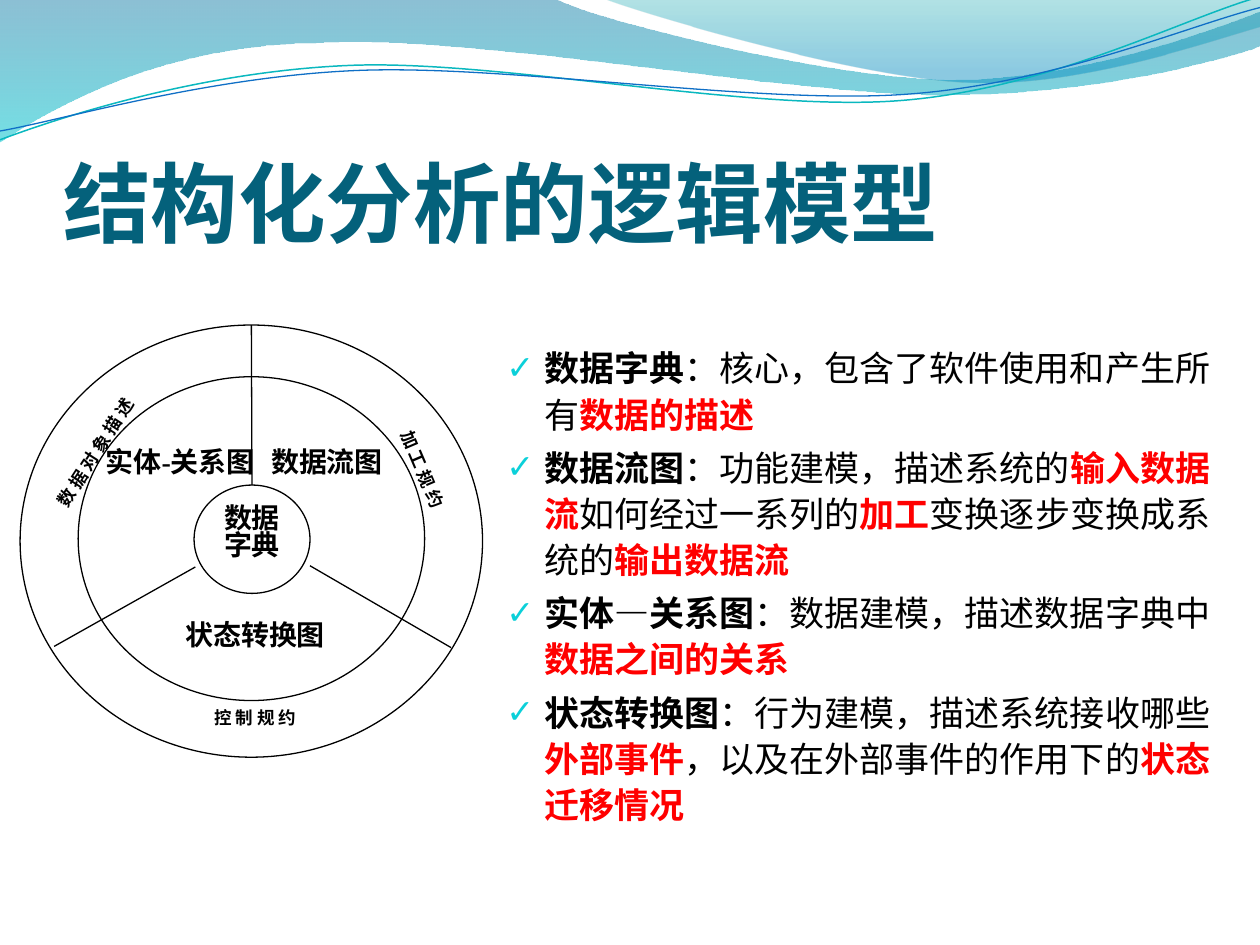
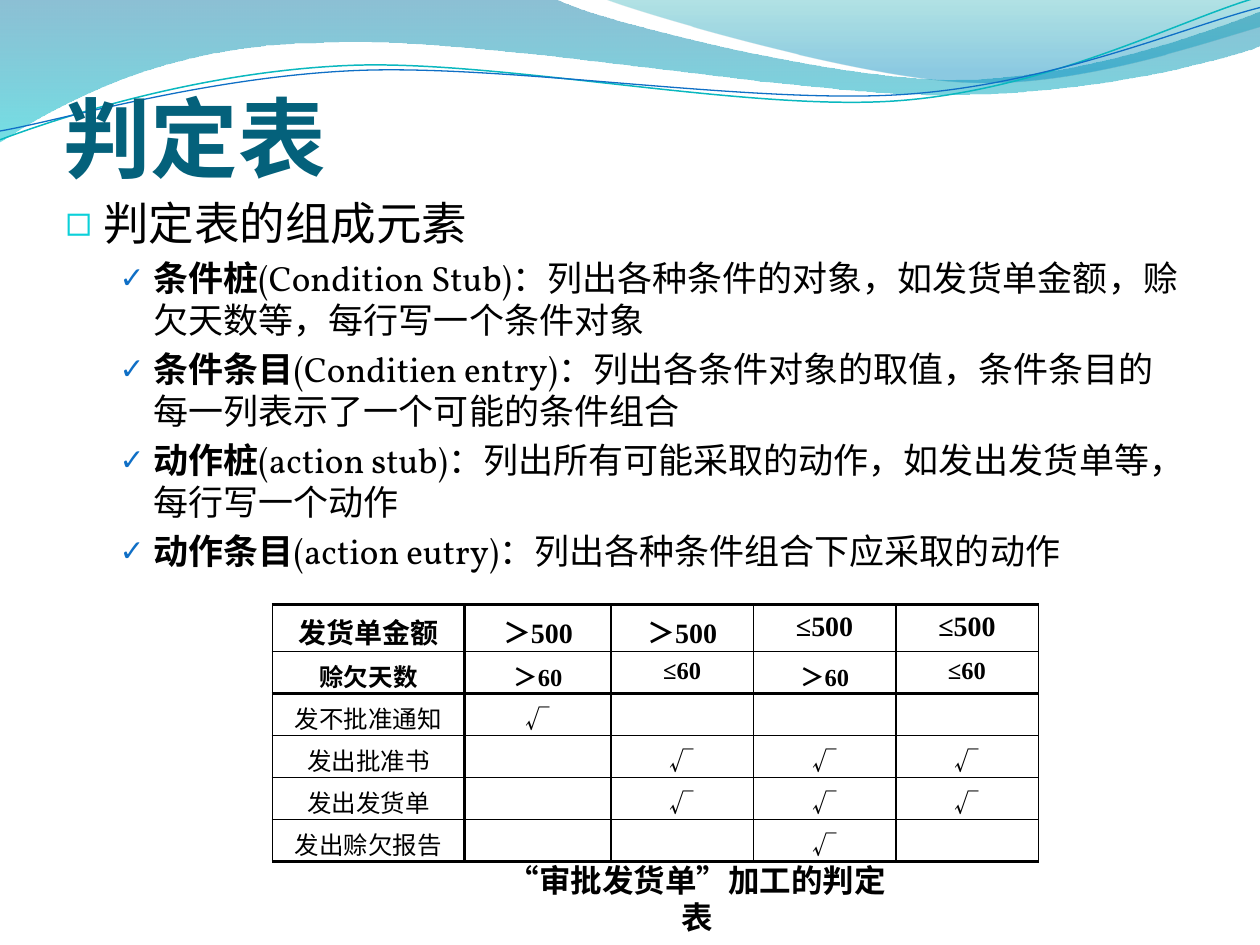
from lxml import etree
from pptx import Presentation
from pptx import util as u
from pptx.dml.color import RGBColor
from pptx.enum import shapes, text
from pptx.oxml import ns

CJK, BODY, SERIF, SANS = "Noto Sans CJK SC", "Vollkorn", "Times New Roman", "Arial"
BLACK, RED, TITLE, AQUA, BLUE = "000000", "FF0000", "04617B", "0BD0D9", "0F6FC6"
PLAIN, TERM, STRESS, DASH = range(4)

# Each wave: start point, then straight (2 numbers) or cubic (6 numbers) segments, in inches
BROAD_BAND = [(0, -0.01), (4.4, -0.01), (4.76, 0.17, 6.64, 0.63, 7.58, 0.63),
              (8.53, 0.63, 9.58, 0.26, 10, 0.09), (10.01, 0.36),
              (9.83, 0.44, 8.7, 0.76, 7.46, 0.75), (6.22, 0.75, 3.82, 0.28, 2.57, 0.34),
              (1.29, 0.35, 0.46, 0.83, -0.01, 1.13), (0, -0.01)]
RIGHT_BAND = [(4.79, -0.01), (5.09, 0.11, 6.82, 0.62, 7.69, 0.65),
              (8.56, 0.69, 9.61, 0.32, 10, 0.21), (10, 0), (4.79, -0.01)]
TEAL_LINE = [(0, 1.11), (0.48, 0.93, 1.58, 0.57, 2.77, 0.52),
             (3.95, 0.47, 5.93, 0.89, 7.13, 0.8), (8.33, 0.71, 9.38, 0.15, 9.98, -0.02)]
BLUE_LINE = [(0, 1.04), (0.47, 0.96, 1.64, 0.61, 2.83, 0.56),
             (4.03, 0.51, 5.97, 0.83, 7.17, 0.75), (8.36, 0.67, 9.41, 0.21, 10, 0.06)]

MODEL_POINTS = [
    [("数据字典", TERM), ("：核心，包含了软件使用和产生所有", PLAIN), ("数据的描述", STRESS)],
    [("数据流图", TERM), ("：功能建模，描述系统的", PLAIN), ("输入数据流", STRESS),
     ("如何经过一系列的", PLAIN), ("加工", STRESS), ("变换逐步变换成系统的", PLAIN),
     ("输出数据流", STRESS)],
    [("实体", TERM), ("—", DASH), ("关系图", TERM), ("：数据建模，描述数据字典中", PLAIN),
     ("数据之间的关系", STRESS)],
    [("状态转换图", TERM), ("：行为建模，描述系统接收哪些", PLAIN), ("外部事件", STRESS),
     ("，以及在外部事件的作用下的", PLAIN), ("状态迁移情况", STRESS)],
]
TABLE_PARTS = [
    ("条件桩", "(Condition Stub)：列出各种条件的对象，如发货单金额，赊欠天数等，每行写一个条件对象"),
    ("条件条目", "(Conditien entry)：列出各条件对象的取值，条件条目的每一列表示了一个可能的条件组合"),
    ("动作桩", "(action stub)：列出所有可能采取的动作，如发出发货单等，每行写一个动作"),
    ("动作条目", "(action eutry)：列出各种条件组合下应采取的动作"),
]
DECISIONS = [
    ["发货单金额", "＞500", "＞500", "≤500", "≤500"],
    ["赊欠天数", "＞60", "≤60", "＞60", "≤60"],
    ["发不批准通知", "√", "", "", ""],
    ["发出批准书", "", "√", "√", "√"],
    ["发出发货单", "", "√", "√", "√"],
    ["发出赊欠报告", "", "", "√", ""],
]


def rgb(color):
    return RGBColor.from_string(color)


def inches(*lengths):
    return [u.Inches(length) for length in lengths]


def add_xml(parent, tag, **attributes):
    child = etree.SubElement(parent, ns.qn(tag))
    for name, value in attributes.items():
        child.set(name, str(value))
    return child


def style_font(font, name, size, color=BLACK, bold=False):
    font.name, font.size, font.bold = name, u.Pt(size), bold
    font.color.rgb = rgb(color)


def add_bullet(para, mark, color, percent, left, hang):
    properties = para._p.get_or_add_pPr()
    properties.set("marL", str(u.Inches(left)))
    properties.set("indent", str(u.Inches(-hang)))
    add_xml(add_xml(properties, "a:buClr"), "a:srgbClr", val=color)
    add_xml(properties, "a:buSzPct", val=percent * 1000)
    add_xml(properties, "a:buFont", typeface=SANS)
    add_xml(properties, "a:buChar", char=mark)


def add_runs(para, runs):
    for words, kind in runs:
        span = para.add_run()
        span.text = words
        span.font.bold = kind != PLAIN
        if kind == STRESS:
            span.font.color.rgb = rgb(RED)
        elif kind == DASH:
            span.font.name = SANS


def add_text_box(slide, left, top, width, height):
    box = slide.shapes.add_textbox(*inches(left, top, width, height))
    box.text_frame.word_wrap = True
    return box


def add_label(slide, words, area, size=16, font=SERIF, align=text.PP_ALIGN.CENTER, turn=0):
    box = add_text_box(slide, *area)
    box.rotation = turn
    para = box.text_frame.paragraphs[0]
    para.text, para.alignment = words, align
    style_font(para.font, font, size, bold=True)
    return box


def add_wave(slide, segments, line=None, width=0.75, gradient=()):
    """Trace the segments as one outline; a gradient is (percent, colour, opacity) stops."""
    points = [segment[i:i + 2] for segment in segments for i in range(0, len(segment), 2)]
    builder = slide.shapes.build_freeform(*inches(*points[0]))
    builder.add_line_segments([inches(*point) for point in points[1:]], close=bool(gradient))
    wave = builder.convert_to_shape()
    wave.shadow.inherit = False
    outline = wave._element.spPr.find(ns.qn("a:custGeom"))
    steps = iter(outline.findall(".//" + ns.qn("a:lnTo")))
    for segment in segments[1:]:
        step = next(steps)
        if len(segment) == 6:
            curve = etree.Element(ns.qn("a:cubicBezTo"))
            step.addprevious(curve)
            for part in (step, next(steps), next(steps)):
                curve.append(part[0])
                part.getparent().remove(part)
    if gradient:
        wave.line.fill.background()
        fill = etree.Element(ns.qn("a:gradFill"), rotWithShape="1")
        stops = add_xml(fill, "a:gsLst")
        for percent, color, opacity in gradient:
            stop = add_xml(stops, "a:gs", pos=percent * 1000)
            add_xml(add_xml(stop, "a:srgbClr", val=color), "a:alpha", val=opacity * 1000)
        add_xml(fill, "a:lin", ang=90 * 60000, scaled=0)
        outline.addnext(fill)
    else:
        wave.fill.background()
        wave.line.color.rgb, wave.line.width = rgb(line), u.Pt(width)
    return wave


def add_waves_to_layout(slide):
    """Draw the header waves, then move them to the layout that all slides share."""
    waves = [
        add_wave(slide, BROAD_BAND, gradient=[(0, "0074A1", 45), (100, "00C6CF", 55)]),
        add_wave(slide, RIGHT_BAND, gradient=[(0, "00A1A9", 30), (80, "008BBF", 45)]),
        add_wave(slide, TEAL_LINE, line="0AB8BF", width=0.85),
        add_wave(slide, BLUE_LINE, line=BLUE),
    ]
    for wave in waves:
        slide.slide_layout.shapes._spTree.append(wave._element)


def set_title(slide, words, top):
    title = slide.shapes.title
    title.left, title.top, title.width, title.height = inches(0.5, top, 9, 1.25)
    frame = title.text_frame
    frame.margin_left = frame.margin_right = frame.margin_bottom = 0
    frame.margin_top = u.Inches(0.05)
    frame.vertical_anchor = text.MSO_ANCHOR.BOTTOM
    para = frame.paragraphs[0]
    para.text, para.alignment = words, text.PP_ALIGN.LEFT
    style_font(para.font, CJK, 50, TITLE, bold=True)


def add_ring(slide, left, top, width, height):
    ring = slide.shapes.add_shape(shapes.MSO_SHAPE.OVAL, *inches(left, top, width, height))
    ring.shadow.inherit = False
    ring.fill.background()
    ring.line.color.rgb, ring.line.width = rgb(BLACK), u.Pt(0.75)
    return ring


def add_line(slide, *ends):
    line = slide.shapes.add_connector(shapes.MSO_CONNECTOR.STRAIGHT, *inches(*ends))
    line.line.color.rgb, line.line.width = rgb(BLACK), u.Pt(0.75)
    add_xml(line._element.spPr, "a:effectLst")
    return line


def add_model_rings(slide):
    add_label(slide, "实体-关系图", (0.74, 3.48, 1.41, 0.44), align=text.PP_ALIGN.JUSTIFY)
    add_label(slide, "数据流图", (1.89, 3.48, 1.41, 0.44))
    add_label(slide, "状态转换图", (1.32, 4.85, 1.41, 0.44))
    outer = add_ring(slide, 0.16, 2.58, 3.67, 3.43)
    add_ring(slide, 0.62, 2.99, 2.75, 2.57)
    core = add_ring(slide, 1.54, 3.85, 0.92, 0.86)
    core.text_frame.vertical_anchor = text.MSO_ANCHOR.TOP
    para = core.text_frame.paragraphs[0]
    para.text, para.alignment, para.line_spacing = "数据字典", text.PP_ALIGN.CENTER, 0.8
    style_font(para.font, SERIF, 16, bold=True)
    upright = add_line(slide, 1.99, 2.58, 1.99, 3.85)
    upright.begin_connect(outer, 0)
    upright.end_connect(core, 0)
    add_line(slide, 1.55, 4.5, 0.43, 5.13)
    add_line(slide, 3.58, 5.14, 2.46, 4.49)
    for words, area, turn in [("控 制 规 约", (1.45, 5.56, 1.15, 0.34), 0),
                              ("加 工 规 约", (2.76, 3.56, 1.1, 0.36), 66.9),
                              ("数 据 对 象 描 述", (0.11, 3.34, 1.71, 0.76), 302.7)]:
        add_label(slide, words, area, size=10, font=CJK, turn=turn)


def add_model_points(slide):
    frame = add_text_box(slide, 3.92, 2.67, 5.83, 3.75).text_frame
    for index, runs in enumerate(MODEL_POINTS):
        para = frame.add_paragraph() if index else frame.paragraphs[0]
        para.line_spacing = 1.1
        para.space_before = u.Pt(4 if index else 0)
        add_bullet(para, "✓", AQUA, 95, 0.3, 0.3)
        style_font(para.font, BODY, 20)
        add_runs(para, runs)


def add_table_parts(slide):
    frame = add_text_box(slide, 0.42, 1.5, 9.08, 5.17).text_frame
    heading = frame.paragraphs[0]
    add_bullet(heading, "◻", AQUA, 95, 0.3, 0.3)
    style_font(heading.font, BODY, 26)
    add_runs(heading, [("判定表的组成元素", PLAIN)])
    for term, meaning in TABLE_PARTS:
        para = frame.add_paragraph()
        para.level, para.space_before = 1, u.Pt(4)
        add_bullet(para, "✓", BLUE, 85, 0.7, 0.27)
        style_font(para.font, BODY, 20)
        add_runs(para, [(term, TERM), (meaning, PLAIN)])


def set_borders(cell, **widths):
    properties = cell._tc.get_or_add_tcPr()
    for index, (side, width) in enumerate(widths.items()):
        border = etree.Element(ns.qn("a:ln" + side), w=str(u.Pt(width)))
        add_xml(add_xml(border, "a:solidFill"), "a:srgbClr", val=BLACK)
        properties.insert(index, border)


def add_decision_table(slide):
    rows, columns = len(DECISIONS), len(DECISIONS[0])
    table = slide.shapes.add_table(rows, columns, *inches(2.16, 4.8, 6.08, 2.02)).table
    table.first_row = table.horz_banding = False
    for index, width in enumerate([1.53, 1.16, 1.13, 1.13, 1.13]):
        table.columns[index].width = u.Inches(width)
    across = [2, 1, 2, 1, 1, 1, 2]
    down = [0.75, 2, 1, 1, 1, 0.75]
    for r, values in enumerate(DECISIONS):
        table.rows[r].height = u.Inches(0.33 if r else 0.37)
        for c, value in enumerate(values):
            cell = table.cell(r, c)
            cell.fill.background()
            set_borders(cell, L=down[c], R=down[c + 1], T=across[r], B=across[r + 1])
            para = cell.text_frame.paragraphs[0]
            para.alignment = text.PP_ALIGN.CENTER
            style_font(para.font, CJK if value == "√" else SERIF, 14 if r else 16, bold=r < 2)
            if value:
                para.add_run().text = value
            else:
                add_xml(para._p, "a:endParaRPr", sz=1400)


def main():
    deck = Presentation()
    deck.slide_width, deck.slide_height = inches(10, 7.5)
    title_only = deck.slide_layouts[5]

    model = deck.slides.add_slide(title_only)
    add_waves_to_layout(model)
    set_title(model, "结构化分析的逻辑模型", 0.77)
    add_model_points(model)
    add_model_rings(model)

    decision = deck.slides.add_slide(title_only)
    set_title(decision, "判定表", 0.25)
    add_table_parts(decision)
    caption = add_label(decision, "“审批发货单”加工的判定表", (3.92, 6.93, 3.22, 0.4), size=18)
    caption.text_frame.vertical_anchor = text.MSO_ANCHOR.MIDDLE
    add_decision_table(decision)
    deck.save("out.pptx")


if __name__ == "__main__":
    main()
